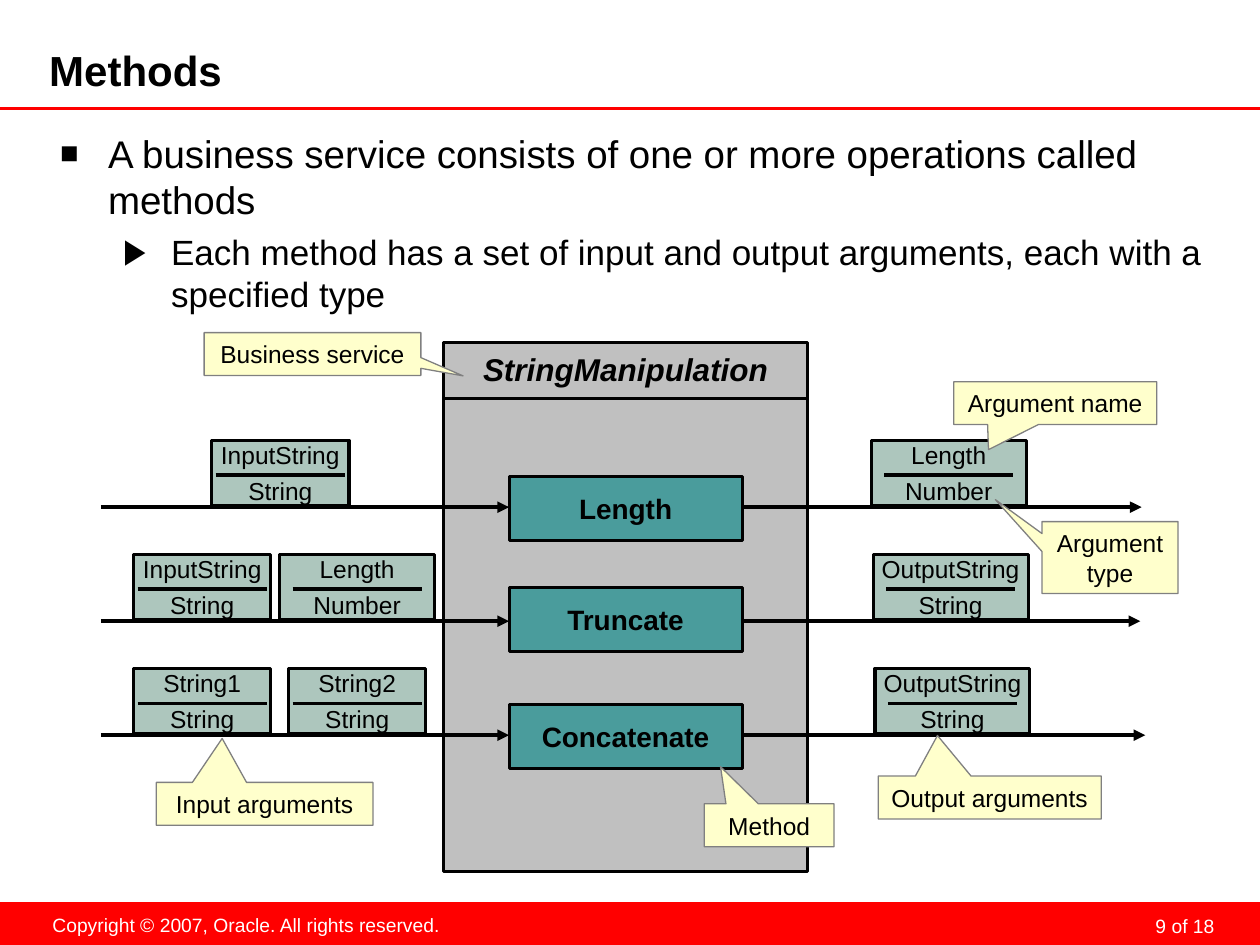
from lxml import etree
from pptx import Presentation
from pptx import util as u
from pptx.dml.color import RGBColor
from pptx.enum import shapes, text
from pptx.oxml.ns import qn

COLUMNS, ROWS = 100, 75
WIDTH, HEIGHT = u.Inches(10), u.Inches(7.5)
COLORS = {
    "black": "000000", "white": "FFFFFF", "red": "FF0000", "service": "C0C0C0",
    "method": "4A9C9C", "argument": "ADC6BD", "callout": "FFFFCC", "edge": "808080",
}
FIRST_LANE, LANE_STEP = 40.25, 9.05
CARD_HEIGHT, CARD_RISE = 5.2, 5.3
DIVIDER_WIDTH, DIVIDER_DROP = 10.25, 2.75
INPUT_START = 8
METHODS = [
    ("Length", 37.8, 90.6,
     [("InputString", "String", 22.25, 10.9), ("Length", "Number", 75.3, 12.3)]),
    ("Truncate", 46.6, 90.5,
     [("InputString", "String", 16.05, 10.9), ("Length", "Number", 28.35, 12.3),
      ("OutputString", "String", 75.45, 12.3)]),
    ("Concatenate", 55.9, 90.9,
     [("String1", "String", 16.05, 10.9), ("String2", "String", 28.35, 10.9),
      ("OutputString", "String", 75.6, 12.3)]),
]
CALLOUTS = [
    ("Business service", (16.2, 26.4, 17.2, 3.4), (0.695, 0.51)),
    ("Input arguments", (12.4, 62.1, 17.2, 3.4), (-0.196, -1.526)),
    ("Method", (55.9, 63.8, 10.3, 3.4), (-0.375, -1.366)),
    ("Output arguments", (69.7, 61.6, 17.7, 3.4), (-0.234, -1.447)),
    ("Argument name", (75.7, 30.3, 16.1, 3.4), (-0.329, 1.085)),
    ("Argument type", (82.7, 41.4, 10.8, 5.7), (-0.843, -0.806)),
]


def color(name):
    """Return the named colour."""
    return RGBColor.from_string(COLORS[name])


def column(count):
    """Return the length of a number of grid columns."""
    return round(WIDTH * count / COLUMNS)


def row(count):
    """Return the length of a number of grid rows."""
    return round(HEIGHT * count / ROWS)


def place(box):
    """Turn a box in grid units into slide lengths."""
    left, top, width, height = box
    return column(left), row(top), column(width), row(height)


def set_text(shape, lines, size, ink="black", align=text.PP_ALIGN.CENTER,
             anchor=text.MSO_ANCHOR.MIDDLE, margins=(0.1, 0.05, 0.1, 0.05),
             bold=False, italic=False):
    """Fill a shape with formatted lines and return its paragraphs."""
    frame = shape.text_frame
    frame.text = "\n".join(lines)
    frame.word_wrap = True
    frame.auto_size = text.MSO_AUTO_SIZE.NONE
    frame.vertical_anchor = anchor
    (frame.margin_left, frame.margin_top,
     frame.margin_right, frame.margin_bottom) = map(u.Inches, margins)
    for paragraph in frame.paragraphs:
        paragraph.alignment = align
        for run in paragraph.runs:
            font = run.font
            font.name, font.size = "Arial", u.Pt(size)
            font.bold, font.italic = bold, italic
            font.color.rgb = color(ink)
    return frame.paragraphs


def add_block(slide, box, fill, line="black", weight=1.75,
              kind=shapes.MSO_SHAPE.RECTANGLE):
    """Add a filled and outlined shape."""
    shape = slide.shapes.add_shape(kind, *place(box))
    shape.shadow.inherit = False
    shape.fill.solid()
    shape.fill.fore_color.rgb = color(fill)
    shape.line.color.rgb = color(line)
    shape.line.width = u.Pt(weight)
    return shape


def add_line(slide, left, right, top, ink="black", weight=1.75, arrow=False):
    """Add a horizontal line, with an arrowhead at its right end if asked."""
    connector = slide.shapes.add_connector(
        shapes.MSO_CONNECTOR.STRAIGHT, column(left), row(top), column(right), row(top))
    connector.line.color.rgb = color(ink)
    connector.line.width = u.Pt(weight)
    if arrow:
        etree.SubElement(connector.line._get_or_add_ln(), qn("a:tailEnd"), type="triangle")
    etree.SubElement(connector._element.spPr, qn("a:effectLst"))


def add_bullet(paragraph, character, indent, percent):
    """Give a paragraph a hanging bullet."""
    properties = paragraph._p.get_or_add_pPr()
    properties.set("marL", str(u.Inches(indent)))
    properties.set("indent", str(-u.Inches(0.38)))
    bullet_color = etree.SubElement(properties, qn("a:buClr"))
    etree.SubElement(bullet_color, qn("a:srgbClr"), val=COLORS["black"])
    etree.SubElement(properties, qn("a:buSzPct"), val=str(percent * 1000))
    etree.SubElement(properties, qn("a:buFont"), typeface="Arial")
    etree.SubElement(properties, qn("a:buChar"), char=character)


def add_footer(slide, box):
    """Add the footer band with copyright and page number."""
    left, top, width, height = box
    band = add_block(slide, box, "red")
    band.line.fill.background()
    page = slide.shapes.add_textbox(*place((left + width - 26.4, top + 0.3, 23.3, 2.5)))
    paragraphs = set_text(page, ["9 of 18"], 11, "white", text.PP_ALIGN.RIGHT,
                          text.MSO_ANCHOR.TOP, (0.05, 0, 0.05, 0))
    paragraphs[0].line_spacing = u.Pt(18)
    notice = slide.shapes.add_textbox(*place((left + 3.1, top + 0.4, 32.9, 2.9)))
    set_text(notice, ["Copyright © 2007, Oracle. All rights reserved."], 11, "white",
             anchor=text.MSO_ANCHOR.TOP)
    notice.text_frame.word_wrap = False


def add_title(slide, box):
    """Place the title and the rule below it."""
    title = slide.shapes.title
    title.left, title.top, title.width, title.height = place(box)
    set_text(title, ["Methods"], 24, align=text.PP_ALIGN.LEFT,
             margins=(0, 0, 0.05, 0.05), bold=True)
    add_line(slide, 0, COLUMNS, box[1] + box[3] + 0.8, "red")


def add_body(slide, box):
    """Add the two-level bullet text."""
    body = slide.shapes.add_textbox(*place(box))
    first, second = set_text(body, [
        "A business service consists of one or more operations called methods",
        "Each method has a set of input and output arguments, each with a specified type",
    ], 22, align=text.PP_ALIGN.LEFT, anchor=text.MSO_ANCHOR.TOP,
        margins=(0.1, 0.1, 0.1, 0.05))
    add_bullet(first, "■", 0.38, 80)
    add_bullet(second, "▶", 0.88, 100)
    second.level = 1
    second.space_before = u.Pt(5)
    second.runs[0].font.size = u.Pt(20)


def add_argument(slide, box, name, kind):
    """Add an argument card with its name above its type."""
    left, top, width, _ = box
    card = add_block(slide, box, "argument")
    paragraphs = set_text(card, [name, kind], 14, anchor=text.MSO_ANCHOR.TOP,
                          margins=(0, 0, 0, 0))
    paragraphs[1].space_before = u.Pt(3.5)
    start = left + (width - DIVIDER_WIDTH) / 2
    add_line(slide, start, start + DIVIDER_WIDTH, top + DIVIDER_DROP)


def add_service(slide, box):
    """Add the service panel with its methods, flows and arguments."""
    left, top, width, _ = box
    panel = add_block(slide, box, "service")
    set_text(panel, ["StringManipulation"], 18, anchor=text.MSO_ANCHOR.TOP,
             margins=(0.1, 0.06, 0.1, 0.05), bold=True, italic=True)
    add_line(slide, left, left + width, top + 4.4)
    method_left, method_width = left + 5.2, 18.5
    for index, (name, method_top, flow_end, arguments) in enumerate(METHODS):
        lane = FIRST_LANE + index * LANE_STEP
        method = add_block(slide, (method_left, method_top, method_width, 5.1), "method")
        set_text(method, [name], 16, bold=True)
        for start, end in ((INPUT_START, method_left),
                           (method_left + method_width, flow_end)):
            add_line(slide, start, end, lane, weight=2.25, arrow=True)
        for argument, kind, center, card_width in arguments:
            add_argument(slide, (center - card_width / 2, lane - CARD_RISE,
                                 card_width, CARD_HEIGHT), argument, kind)


def add_callout(slide, box, label, pointer):
    """Add a callout whose tip is given as shares of its size."""
    callout = add_block(slide, box, "callout", "edge", 0.75,
                        shapes.MSO_SHAPE.RECTANGULAR_CALLOUT)
    callout.adjustments[0], callout.adjustments[1] = pointer
    set_text(callout, [label], 14)


def main():
    """Build and save the slide."""
    presentation = Presentation()
    presentation.slide_width, presentation.slide_height = WIDTH, HEIGHT
    slide = presentation.slides.add_slide(presentation.slide_layouts[5])
    add_footer(slide, (0, 71.6, COLUMNS, 3.4))
    add_title(slide, (3.9, 3.8, 78.7, 4))
    add_body(slide, (3.8, 9.3, 93, 61.8))
    add_service(slide, (35.2, 27.2, 28.9, 42))
    for label, box, pointer in CALLOUTS:
        add_callout(slide, box, label, pointer)
    presentation.save("out.pptx")


if __name__ == "__main__":
    main()
